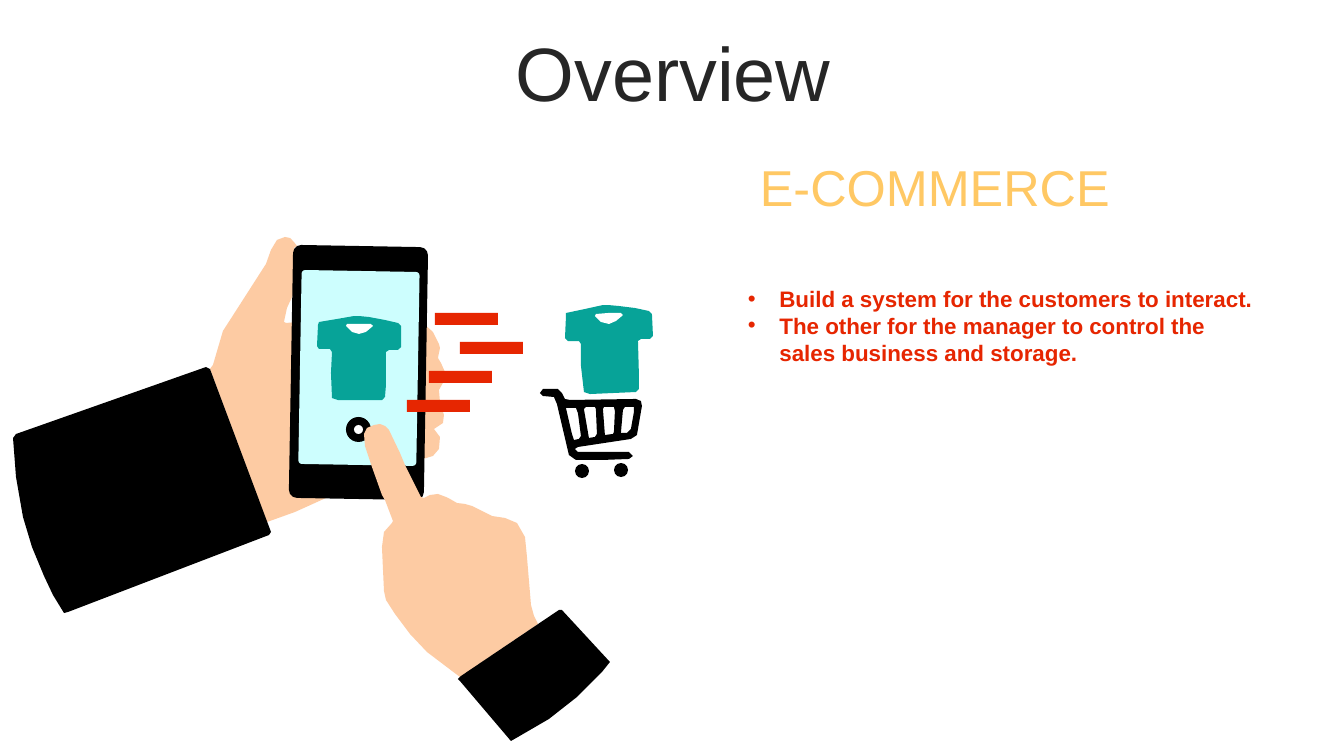
import math

import lxml.etree
import pptx
import pptx.dml.color
import pptx.enum.shapes
import pptx.enum.text
import pptx.oxml.ns
import pptx.util

EMU_PER_PX = 914400 / 100.8
BLACK, WHITE, SKIN, TEAL = "000000", "FFFFFF", "FDCBA3", "07A398"
RED, AMBER, INK, GLASS = "E62601", "FFC864", "262626", "CDFEFE"
SHAPE = pptx.enum.shapes.MSO_SHAPE
ALIGN = pptx.enum.text.PP_ALIGN
ANCHOR = pptx.enum.text.MSO_ANCHOR

HOLDING_HAND = [
    (427, 165), (426, 153), (431, 144), (432, 135), (428, 126), (425, 121), (426, 116),
    (427, 111), (426, 107), (420, 95), (411, 87), (380, 79), (298, 84), (273, 86),
    (271, 85), (274, 71), (280, 58), (281, 11), (284, 9), (281, 5), (277, 1), (272, 0),
    (264, 3), (258, 13), (253, 27), (219, 80), (210, 94), (200, 128), (197, 132),
    (254, 285), (257, 284), (282, 275), (313, 261), (407, 223), (420, 219), (426, 212),
    (427, 200), (421, 192), (430, 186), (431, 178)]
SLEEVE = [
    (193, 130), (197, 132), (258, 295), (256, 298), (55, 375), (51, 376), (40, 358),
    (31, 339), (19, 310), (10, 280), (3, 240), (0, 201), (3, 197)]
TAPPING_HAND = [
    (174, 200), (96, 253), (63, 228), (46, 210), (31, 190), (22, 176), (20, 167),
    (19, 145), (18, 123), (20, 108), (28, 99), (29, 97), (21, 76), (18, 71), (8, 43),
    (1, 22), (0, 10), (3, 4), (10, 1), (16, 0), (21, 2), (25, 6), (36, 29), (41, 41),
    (57, 73), (60, 74), (66, 71), (74, 70), (82, 73), (86, 75), (93, 79), (101, 80),
    (108, 82), (116, 86), (128, 92), (141, 94), (153, 99), (161, 113), (163, 133),
    (167, 181), (170, 192)]
CUFF = [
    (147, 317), (96, 257), (94, 255), (97, 252), (195, 186), (198, 186), (246, 238),
    (238, 248), (213, 273), (185, 295), (154, 313)]
SHIRT = [
    (14, 57), (15, 36), (13, 33), (2, 33), (0, 30), (1, 9), (2, 6), (20, 3), (37, 0),
    (42, 0), (52, 1), (68, 4), (81, 7), (84, 10), (84, 31), (81, 34), (72, 34), (69, 36),
    (69, 69), (68, 81), (65, 84), (21, 84), (15, 82)]
NECK = [
    (42, 8), (54, 8), (56, 10), (55, 11), (49, 16), (42, 18), (35, 16), (29, 10), (30, 8)]
CART_FRAME = [
    (10, 0), (18, 0), (22, 4), (25, 10), (30, 11), (96, 10), (101, 12), (102, 17),
    (97, 46), (91, 50), (38, 58), (35, 60), (38, 63), (89, 63), (93, 67), (89, 70),
    (62, 71), (36, 71), (29, 66), (17, 15), (14, 8), (3, 7), (0, 4), (3, 0)]
CART_GAPS = [
    [(26, 19), (36, 19), (38, 24), (41, 47), (39, 50), (34, 51), (32, 45)],
    [(46, 18), (55, 18), (56, 20), (57, 45), (55, 48), (49, 49), (44, 20)],
    [(64, 18), (74, 18), (75, 22), (74, 43), (73, 45), (65, 46), (63, 20)],
    [(85, 18), (94, 18), (94, 23), (91, 40), (87, 44), (81, 44), (83, 21)]]


def px(length):
    """Turn pixels into EMU."""
    return pptx.util.Emu(round(length * EMU_PER_PX))


def color(hex_code):
    """Turn a hex string into a colour."""
    return pptx.dml.color.RGBColor.from_string(hex_code)


def paint(shape, fill):
    """Give a shape a flat fill without line or shadow."""
    shape.fill.solid()
    shape.fill.fore_color.rgb = color(fill)
    shape.line.fill.background()
    shape.shadow.inherit = False
    return shape


def outline(slide, left, top, contours, fill):
    """Draw closed contours, later ones as holes, from a box corner."""
    moved = [[(left + x, top + y) for x, y in contour] for contour in contours]
    builder = slide.shapes.build_freeform(*moved[0][0], scale=EMU_PER_PX)
    builder.add_line_segments(moved[0][1:], close=True)
    for hole in moved[1:]:
        builder.move_to(*hole[0])
        builder.add_line_segments(hole[1:], close=True)
    paint(builder.convert_to_shape(), fill)


def preset(slide, kind, left, top, width, height, fill):
    """Add a flat preset shape."""
    return paint(slide.shapes.add_shape(kind, px(left), px(top), px(width), px(height)), fill)


def style(paragraph, size, fill, bold=False):
    """Format every run of a paragraph."""
    for run in paragraph.runs:
        run.font.name = "Arial"
        run.font.size = pptx.util.Pt(size)
        run.font.bold = bold
        run.font.color.rgb = color(fill)


def arm(slide, left, top, hand, cuff):
    """Draw a hand with its dark sleeve."""
    outline(slide, left, top, [hand], SKIN)
    outline(slide, left, top, [cuff], BLACK)


def phone(slide, left, top):
    """Draw the slightly tilted phone with screen and button."""
    for x, y, width, height, corner, fill in (
            (0, 0, 135, 253, 0.06, BLACK), (9, 25, 118, 194, 0.03, GLASS)):
        part = preset(slide, SHAPE.ROUNDED_RECTANGLE, left + x, top + y, width, height, fill)
        part.adjustments[0] = corner
        part.rotation = 1
    for inset, size, fill in ((0, 25, BLACK), (8, 9, WHITE)):
        preset(slide, SHAPE.OVAL, left + 55 + inset, top + 171 + inset, size, size, fill)


def shirt(slide, left, top, size, turn=0):
    """Draw a T-shirt in a square box, turned by some degrees."""
    cos, sin = math.cos(math.radians(turn)), math.sin(math.radians(turn))
    ratio, half = size / 84, size / 2
    for contour, fill in ((SHIRT, TEAL), (NECK, WHITE)):
        centred = [(x * ratio - half, y * ratio - half) for x, y in contour]
        turned = [(half + x * cos - y * sin, half + x * sin + y * cos) for x, y in centred]
        outline(slide, left, top, [turned], fill)


def cart(slide, left, top):
    """Draw the shopping cart."""
    outline(slide, left, top, [CART_FRAME, *CART_GAPS], BLACK)
    for x, y in ((35, 75), (74, 74)):
        preset(slide, SHAPE.OVAL, left + x, top + y, 14, 14, BLACK)


def speed_lines(slide, left, top):
    """Draw the staggered red bars."""
    for row, indent in enumerate((28, 53, 22, 0)):
        preset(slide, SHAPE.RECTANGLE, left + indent, top + row * 29, 63, 12, RED)


def heading(slide, left, top, width, height):
    """Place and format the slide title."""
    title = slide.shapes.title
    title.left, title.top, title.width, title.height = map(px, (left, top, width, height))
    title.text_frame.text = "Overview"
    title.text_frame.vertical_anchor = ANCHOR.MIDDLE
    title.text_frame.auto_size = pptx.enum.text.MSO_AUTO_SIZE.NONE
    line = title.text_frame.paragraphs[0]
    line.alignment = ALIGN.CENTER
    line.line_spacing = 0.9
    line.space_before = pptx.util.Pt(10)
    style(line, 54, INK)


def topic(slide, left, top, width, height):
    """Write the topic name."""
    frame = slide.shapes.add_textbox(px(left), px(top), px(width), px(height)).text_frame
    frame.word_wrap = True
    frame.vertical_anchor = ANCHOR.MIDDLE
    frame.text = "E-COMMERCE"
    frame.paragraphs[0].alignment = ALIGN.JUSTIFY
    style(frame.paragraphs[0], 36, AMBER)


def goals(slide, left, top, width, height):
    """Write the bulleted goals."""
    frame = slide.shapes.add_textbox(px(left), px(top), px(width), px(height)).text_frame
    frame.word_wrap = True
    frame.text = ("Build a system for the customers to interact.\n"
                  "The other for the manager to control the sales business and storage.")
    for goal in frame.paragraphs:
        style(goal, 16, RED, bold=True)
        properties = goal._p.get_or_add_pPr()
        properties.set("marL", "285750")
        properties.set("indent", "-285750")
        font = lxml.etree.SubElement(properties, pptx.oxml.ns.qn("a:buFont"))
        font.set("typeface", "Arial")
        bullet = lxml.etree.SubElement(properties, pptx.oxml.ns.qn("a:buChar"))
        bullet.set("char", "•")


def main():
    """Build the overview slide."""
    deck = pptx.Presentation()
    deck.slide_width, deck.slide_height = px(1344), px(756)
    slide = deck.slides.add_slide(deck.slide_layouts[5])
    heading(slide, 35, 37, 1276, 80)
    arm(slide, 13, 237, HOLDING_HAND, SLEEVE)
    phone(slide, 291, 246)
    arm(slide, 364, 424, TAPPING_HAND, CUFF)
    shirt(slide, 317, 316, 84)
    shirt(slide, 566, 305, 88, turn=-2.5)
    cart(slide, 540, 389)
    speed_lines(slide, 407, 313)
    goals(slide, 738, 280, 530, 119)
    topic(slide, 750, 150, 386, 72)
    deck.save("out.pptx")


if __name__ == "__main__":
    main()
